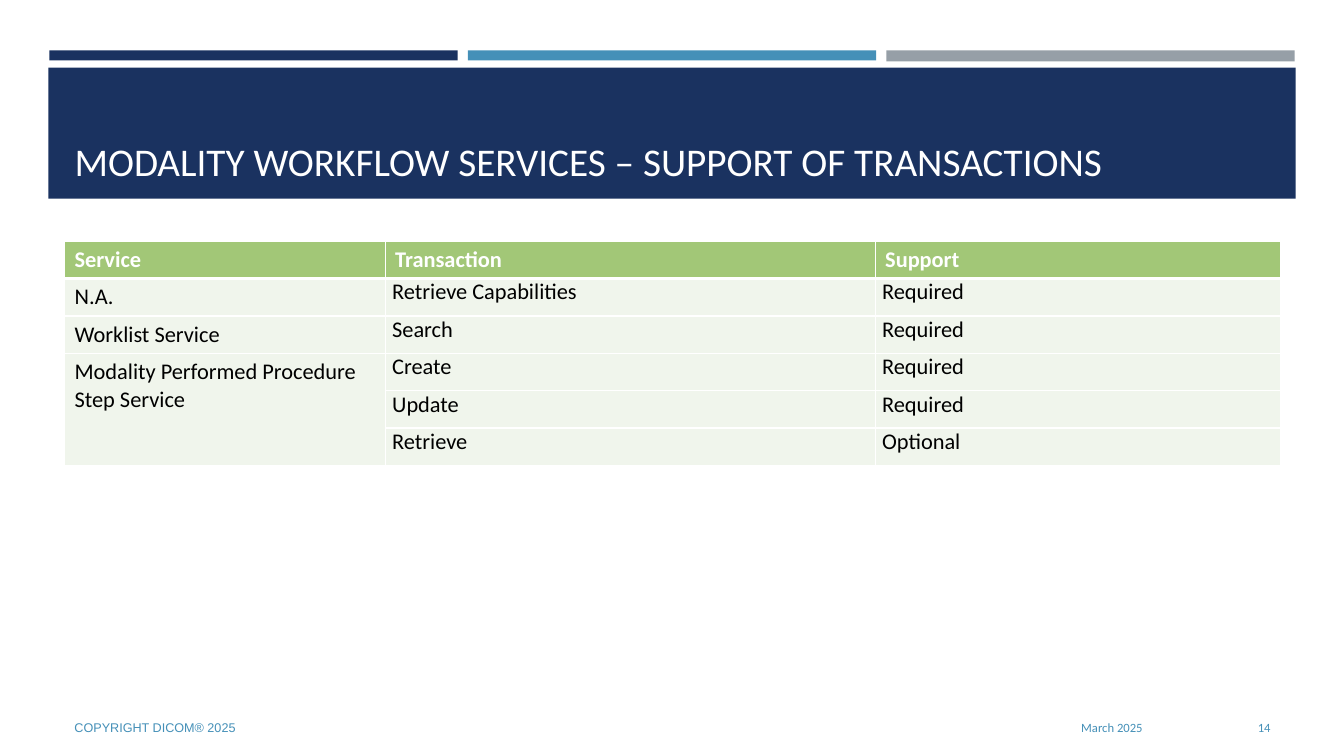
from dataclasses import dataclass

from lxml.etree import SubElement
from pptx import Presentation
from pptx.dml.color import RGBColor
from pptx.enum.shapes import MSO_SHAPE
from pptx.enum.text import MSO_ANCHOR, MSO_AUTO_SIZE, PP_ALIGN
from pptx.oxml.ns import qn
from pptx.util import Inches, Pt


@dataclass(frozen=True)
class Theme:
    navy: str = "1A3260"
    blue: str = "4590B8"
    gray: str = "969FA7"
    green: str = "A2C777"
    pale: str = "F0F5EC"
    white: str = "FFFFFF"
    black: str = "000000"
    font: str = "Calibri"
    footer_font: str = "Arial"
    title_size: int = 28
    table_size: int = 16
    footer_size: int = 9


theme = Theme()


def write(frame, text, *, size, color, font=theme.font, bold=False,
          align=PP_ALIGN.LEFT, spacing=0):
    para = frame.paragraphs[0]
    para.alignment = align
    para.space_before = para.space_after = Pt(spacing)
    span = para.add_run()
    span.text = text
    span.font.name = font
    span.font.size = Pt(size)
    span.font.bold = bold
    span.font.color.rgb = RGBColor.from_string(color)


def set_borders(cell, **widths):
    """Draw white cell borders; widths in points are keyed by side: L, R, T, B."""
    properties = cell._tc.get_or_add_tcPr()
    for position, (side, width) in enumerate(widths.items()):
        line = SubElement(properties, qn(f"a:ln{side}"), w=str(Pt(width)))
        fill = SubElement(line, qn("a:solidFill"))
        SubElement(fill, qn("a:srgbClr"), val=theme.white)
        properties.insert(position, line)


deck = Presentation()
deck.slide_width, deck.slide_height = Inches(13.33), Inches(7.5)
page = deck.slides.add_slide(deck.slide_layouts[5])

# Header bars and title band
bars = [
    (0.49, 0.5, 4.05, 0.1, theme.navy),
    (4.64, 0.5, 4.05, 0.1, theme.blue),
    (8.79, 0.5, 4.05, 0.11, theme.gray),
    (0.48, 0.67, 12.37, 1.3, theme.navy),
]
for *bounds, color in bars:
    bar = page.shapes.add_shape(MSO_SHAPE.RECTANGLE, *map(Inches, bounds))
    bar.shadow.inherit = False
    bar.fill.solid()
    bar.fill.fore_color.rgb = RGBColor.from_string(color)
    bar.line.fill.background()

title = page.shapes.title
title.left, title.top, title.width, title.height = map(Inches, (0.64, 0.77, 12.06, 1.11))
title.text_frame.vertical_anchor = MSO_ANCHOR.BOTTOM
title.text_frame.auto_size = MSO_AUTO_SIZE.NONE
write(title.text_frame, "MODALITY WORKFLOW SERVICES – SUPPORT OF TRANSACTIONS",
      size=theme.title_size, color=theme.white)
# Keep the title in front of its band
page.shapes._spTree.append(title._element)

# Transaction table
rows = [
    ("Service", "Transaction", "Support"),
    ("N.A.", "Retrieve Capabilities", "Required"),
    ("Worklist Service", "Search", "Required"),
    ("Modality Performed Procedure Step Service", "Create", "Required"),
    ("", "Update", "Required"),
    ("", "Retrieve", "Optional"),
]
row_height = 0.37
table = page.shapes.add_table(
    len(rows), 3, Inches(0.64), Inches(2.39),
    Inches(12.06), Inches(row_height * len(rows))).table
for column, width in zip(table.columns, (3.18, 4.86, 4.02)):
    column.width = Inches(width)

for row_index, texts in enumerate(rows):
    header = row_index == 0
    for column_index, text in enumerate(texts):
        cell = table.cell(row_index, column_index)
        cell.fill.solid()
        cell.fill.fore_color.rgb = RGBColor.from_string(
            theme.green if header else theme.pale)
        set_borders(cell, L=1, R=1, T=3 if row_index == 1 else 1, B=3 if header else 1)
        compact = not header and column_index > 0
        if compact:
            cell.margin_left = cell.margin_right = Inches(0.07)
            cell.margin_top = cell.margin_bottom = 0
        if text:
            write(cell.text_frame, text, size=theme.table_size, bold=header,
                  color=theme.white if header else theme.black,
                  spacing=2 if compact else 0)
table.cell(3, 0).merge(table.cell(5, 0))

# Footer
footers = [
    ("COPYRIGHT DICOM® 2025", 0.64, 7.56, theme.footer_font, PP_ALIGN.LEFT),
    ("March 2025", 8.32, 3.11, theme.font, PP_ALIGN.RIGHT),
    ("14", 11.55, 1.15, theme.font, PP_ALIGN.RIGHT),
]
for text, left, width, font, align in footers:
    box = page.shapes.add_textbox(Inches(left), Inches(7.02), Inches(width), Inches(0.4))
    box.text_frame.word_wrap = True
    box.text_frame.vertical_anchor = MSO_ANCHOR.MIDDLE
    write(box.text_frame, text, size=theme.footer_size, color=theme.blue,
          font=font, align=align)

deck.save("out.pptx")
